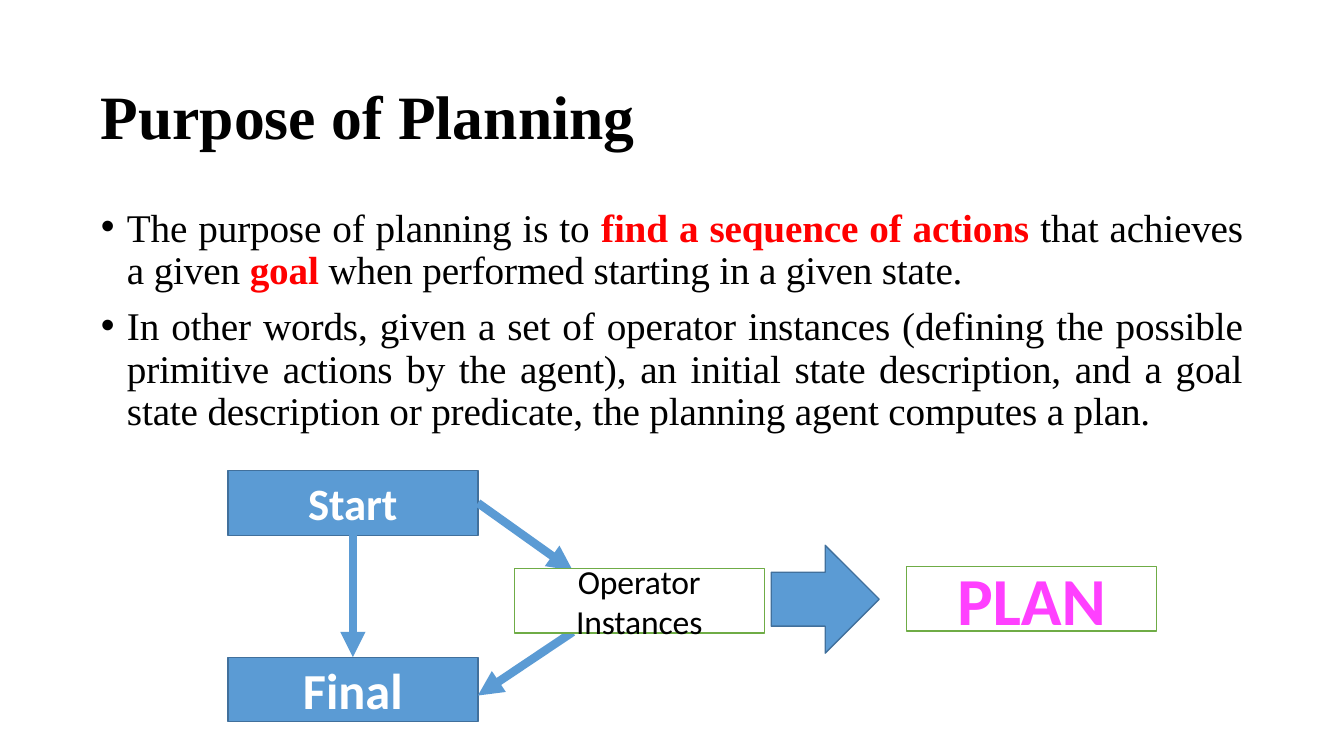
from lxml import etree
from pptx import Presentation
from pptx import util as u
from pptx.dml.color import RGBColor
from pptx.enum import shapes, text
from pptx.oxml.ns import qn

PX = 9144
BOX_SIZE = (248, 64)
SERIF, SANS = "Times New Roman", "Calibri"
COLORS = {
    "blue": "5B9BD4",
    "navy": "41709C",
    "green": "6FAC46",
    "white": "FFFFFF",
    "black": "000000",
    "red": "FF0000",
    "pink": "FF40FF",
}


def px(value):
    """Turn px into EMU."""
    return u.Emu(value * PX)


def rgb(name):
    """Look up a named colour."""
    return RGBColor.from_string(COLORS[name])


def add_bullet(paragraph, indent):
    """Give a paragraph a round bullet with a hanging indent."""
    properties = paragraph._p.get_or_add_pPr()
    properties.set("marL", str(px(indent)))
    properties.set("indent", str(-px(indent)))
    etree.SubElement(properties, qn("a:buFont")).set("typeface", "Arial")
    etree.SubElement(properties, qn("a:buChar")).set("char", "•")


def write_text(shape, paragraphs, *, size, font=SANS, color="black", bold=False,
               align=text.PP_ALIGN.CENTER, anchor=text.MSO_ANCHOR.MIDDLE,
               inset=0, bullet=0, leading=None, gap=0, spacing=-10):
    """Fill a shape with paragraphs of (words, emphasised) runs."""
    frame = shape.text_frame
    frame.word_wrap = True
    frame.vertical_anchor = anchor
    frame.margin_left = frame.margin_right = frame.margin_bottom = 0
    frame.margin_top = px(inset)
    for index, runs in enumerate(paragraphs):
        paragraph = frame.add_paragraph() if index else frame.paragraphs[0]
        if bullet:
            add_bullet(paragraph, bullet)
        paragraph.alignment = align
        if leading:
            paragraph.line_spacing = u.Pt(leading)
        if index and gap:
            paragraph.space_before = u.Pt(gap)
        for words, emphasised in runs:
            run = paragraph.add_run()
            run.text = words
            run.font.name = font
            run.font.size = u.Pt(size)
            run.font.bold = bold or emphasised
            run.font.color.rgb = rgb("red" if emphasised else color)
            run._r.get_or_add_rPr().set("spc", str(spacing))


def add_text(slide, left, top, width, height, paragraphs, **style):
    """Add a text box aligned to its top."""
    shape = slide.shapes.add_textbox(px(left), px(top), px(width), px(height))
    write_text(shape, paragraphs, anchor=text.MSO_ANCHOR.TOP, **style)


def add_block(slide, kind, left, top, width, height, fill="blue", line="navy"):
    """Add an outlined preset shape, unfilled when fill is None."""
    shape = slide.shapes.add_shape(kind, px(left), px(top), px(width), px(height))
    shape.shadow.inherit = False
    if fill:
        shape.fill.solid()
        shape.fill.fore_color.rgb = rgb(fill)
    else:
        shape.fill.background()
    shape.line.color.rgb = rgb(line)
    shape.line.width = u.Pt(0.96)
    return shape


def add_box(slide, left, top, lines, size, fill="blue", line="navy", **style):
    """Add a labelled rectangle of the common size."""
    box = add_block(slide, shapes.MSO_SHAPE.RECTANGLE, left, top, *BOX_SIZE, fill, line)
    write_text(box, [[(words, False)] for words in lines], size=size, **style)
    return box


def add_arrow(slide, start, end):
    """Add a thick straight arrow between two points."""
    arrow = slide.shapes.add_connector(
        shapes.MSO_CONNECTOR.STRAIGHT, *map(px, start), *map(px, end))
    arrow.line.color.rgb = rgb("blue")
    arrow.line.width = u.Pt(6)
    etree.SubElement(arrow.line._get_or_add_ln(), qn("a:tailEnd")).set("type", "triangle")
    etree.SubElement(arrow._element.spPr, qn("a:effectLst"))
    return arrow


def add_diagram(slide):
    """Draw the states, the operators and the resulting plan."""
    start = add_box(slide, 226, 467, ["Start"], 32, color="white", bold=True)
    final = add_box(slide, 226, 652, ["Final"], 36, color="white", bold=True, spacing=0)
    down = add_arrow(slide, (350, 531), (350, 652))
    down.begin_connect(start, 2)
    down.end_connect(final, 0)
    add_arrow(slide, (474, 499), (568, 566)).begin_connect(start, 3)
    add_arrow(slide, (568, 627), (474, 690))
    add_box(slide, 510, 564, ["Operator", "Instances"], 24, "white", "green")
    add_block(slide, shapes.MSO_SHAPE.RIGHT_ARROW, 765, 541, 107, 107)
    add_box(slide, 899, 562, ["PLAN"], 48, None, "green", color="pink", bold=True)


def main():
    """Build and save the slide."""
    presentation = Presentation()
    presentation.slide_width, presentation.slide_height = px(1333), px(750)
    slide = presentation.slides.add_slide(presentation.slide_layouts[6])
    add_text(slide, 100, 69, 533, 76, [[("Purpose of Planning", False)]], size=44,
             font=SERIF, bold=True, align=text.PP_ALIGN.LEFT, inset=8, spacing=0)
    purpose = [
        ("The purpose of planning is to ", False),
        ("find a sequence of actions ", True),
        ("that achieves a given ", False),
        ("goal ", True),
        ("when performed starting in a given state.", False),
    ]
    detail = [(
        "In other words, given a set of operator instances (defining the possible "
        "primitive actions by the agent), an initial state description, and a goal "
        "state description or predicate, the planning agent computes a plan.", False)]
    add_text(slide, 100, 197, 1133, 231, [purpose, detail], size=28, font=SERIF,
             align=text.PP_ALIGN.JUSTIFY, inset=9, bullet=26, leading=30.2, gap=10.2)
    add_diagram(slide)
    presentation.save("out.pptx")


if __name__ == "__main__":
    main()
